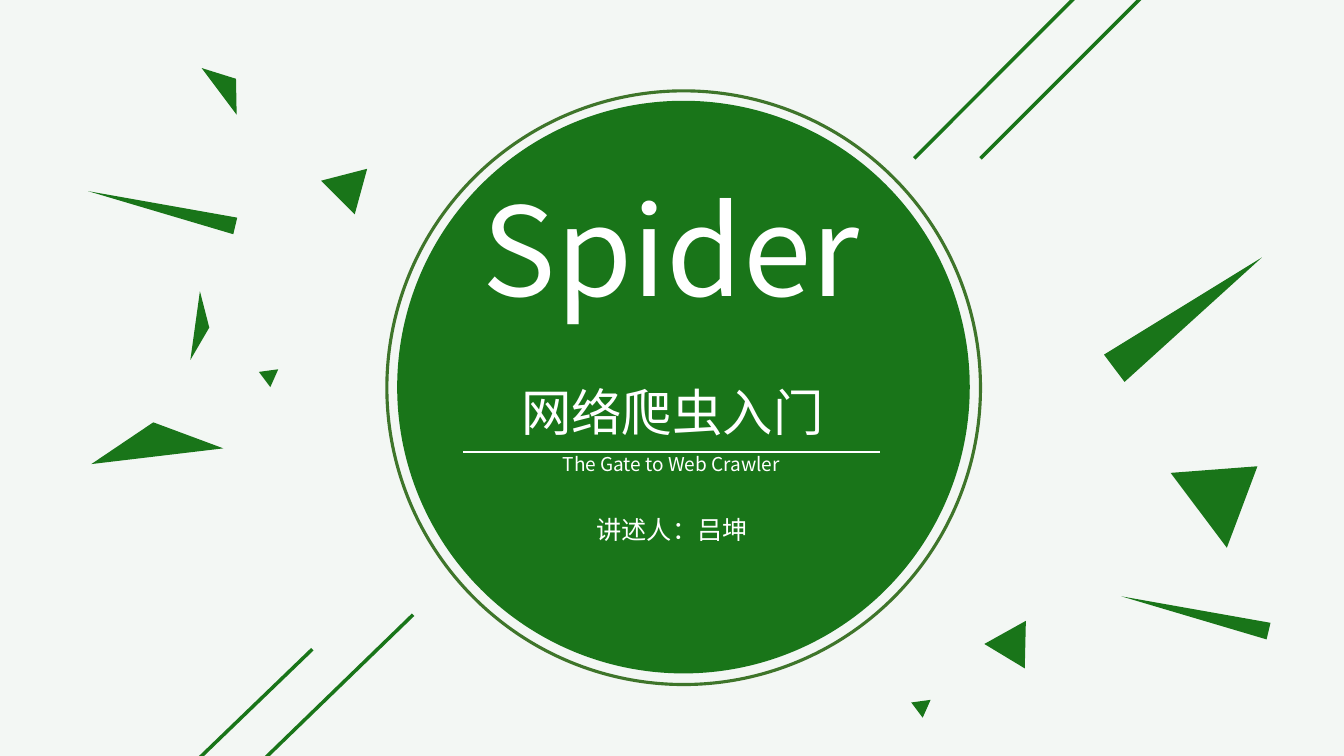
from lxml.etree import SubElement
from pptx import Presentation
from pptx.dml.color import RGBColor
from pptx.enum.shapes import MSO_CONNECTOR, MSO_SHAPE
from pptx.enum.text import PP_ALIGN
from pptx.oxml.ns import qn
from pptx.util import Cm, Pt

GREEN = "197519"
WHITE = "FFFFFF"


def color(value):
    return RGBColor.from_string(value)


def add_text(text, left, top, width, height, size):
    box = page.shapes.add_textbox(Cm(left), Cm(top), Cm(width), Cm(height))
    box.text_frame.word_wrap = True
    para = box.text_frame.paragraphs[0]
    para.alignment = PP_ALIGN.CENTER
    para.line_spacing = 0.87
    span = para.add_run()
    span.text = text
    span.font.size = Pt(size)
    span.font.name = "Noto Sans CJK SC"
    span.font.color.rgb = color(WHITE)
    properties = span.font._element
    SubElement(properties, qn("a:ea"), typeface="Noto Sans CJK SC")


deck = Presentation()
deck.slide_width = Cm(33.87)
deck.slide_height = Cm(19.05)
page = deck.slides.add_slide(deck.slide_layouts[6])
page.background.fill.solid()
page.background.fill.fore_color.rgb = color("F3F7F4")

triangles = [
    (2.24, 10.64, 3.35, 0.86, 353.2),
    (29.77, 11.38, 2.36, 1.85, 53.1),
    (6.6, 9.22, 0.48, 0.43, 53.1),
    (3.86, 3.35, 0.43, 3.81, 283.3),
    (8, 4.17, 1.19, 1.04, 285.3),
    (4.22, 8.05, 1.75, 0.36, 97.9),
    (24.99, 15.57, 1.19, 1.04, 31.1),
    (5, 1.88, 1.47, 0.53, 53.1),
    (29.51, 5.56, 0.86, 4.65, 53.1),
    (23.04, 17.55, 0.48, 0.43, 53.1),
    (29.9, 13.56, 0.43, 3.81, 283.3),
]
for left, top, width, height, angle in triangles:
    triangle = page.shapes.add_shape(
        MSO_SHAPE.ISOSCELES_TRIANGLE, Cm(left), Cm(top), Cm(width), Cm(height))
    triangle.rotation = angle
    triangle.shadow.inherit = False
    triangle.fill.solid()
    triangle.fill.fore_color.rgb = color(GREEN)
    triangle.line.fill.background()

badge = page.shapes.add_group_shape()
disc = badge.shapes.add_shape(MSO_SHAPE.OVAL, Cm(10.01), Cm(2.54), Cm(14.43), Cm(14.43))
disc.shadow.inherit = False
disc.fill.solid()
disc.fill.fore_color.rgb = color(GREEN)
disc.line.fill.background()
ring = badge.shapes.add_shape(MSO_SHAPE.OVAL, Cm(9.75), Cm(2.29), Cm(14.96), Cm(14.96))
ring.shadow.inherit = False
ring.fill.background()
ring.line.color.rgb = color("3E752A")
ring.line.width = Pt(2.25)

lines = [
    (32.05, -3.35, 24.71, 3.99, GREEN, 2.5),
    (29.18, -2.16, 23.04, 3.99, GREEN, 2.5),
    (10.41, 15.49, 3.28, 22.4, GREEN, 2.5),
    (7.87, 16.36, 1.6, 22.4, GREEN, 2.5),
    (11.68, 11.4, 22.17, 11.4, WHITE, 1.5),
]
for start_x, start_y, end_x, end_y, tint, weight in lines:
    line = page.shapes.add_connector(
        MSO_CONNECTOR.STRAIGHT, Cm(start_x), Cm(start_y), Cm(end_x), Cm(end_y))
    line.line.color.rgb = color(tint)
    line.line.width = Pt(weight)
    SubElement(line._element.spPr, qn("a:effectLst"))

add_text("Spider", left=11.68, top=4.75, width=10.46, height=4.01, size=88)
add_text("网络爬虫入门", left=11.61, top=9.7, width=10.67, height=1.8, size=36)
add_text("The Gate to Web Crawler", left=11.2, top=11.35, width=11.43, height=0.86, size=13.6)
add_text("讲述人：吕坤", left=14.25, top=12.93, width=5.38, height=1.02, size=18)

deck.save("out.pptx")
